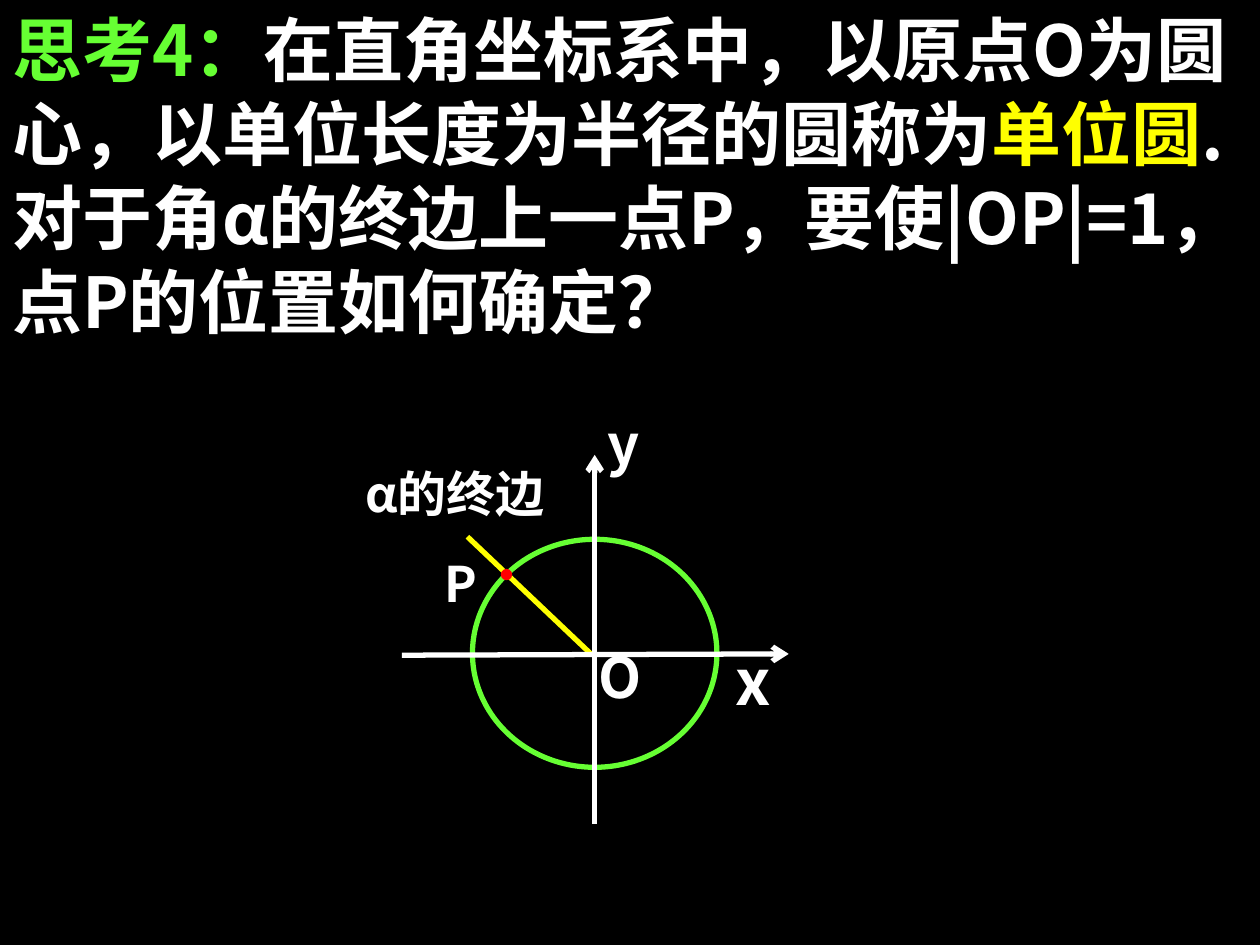
from lxml import etree
from pptx import Presentation
from pptx.dml.color import RGBColor
from pptx.enum.shapes import MSO_CONNECTOR, MSO_SHAPE
from pptx.enum.text import PP_ALIGN
from pptx.oxml.ns import qn
from pptx.util import Inches, Pt

STRAIGHT = MSO_CONNECTOR.STRAIGHT
OVAL = MSO_SHAPE.OVAL
LEFT, JUSTIFY = PP_ALIGN.LEFT, PP_ALIGN.JUSTIFY

THEME = {
    "background": "000000", "text": "FFFFFF", "green": "66FF33",
    "yellow": "FFFF00", "red": "FF0000",
    "sans": "Noto Sans CJK SC", "serif": "Times New Roman",
    "question": 40, "axis x": 36, "axis": 32, "label": 28,
    "stroke": 3, "outline": 0.75,
}

QUESTION = [
    ("思考4：", "green", "sans"),
    ("在直角坐标系中，以原点O为圆心，以单位长度为半径的圆称为", "text", "sans"),
    ("单位圆", "yellow", "sans"),
    (".对于角α的终边上一点P，要使|OP|=1，点P的位置如何确定？", "text", "sans"),
]
TERMINAL_LABEL = [("α", "text", "sans"), ("的终边", "text", "serif")]
TERMINAL_SIDE = ((4.69, 5.19), (3.71, 4.26))
AXES = [((3.19, 5.2), (6.26, 5.19)), ((4.72, 6.54), (4.72, 3.61))]
UNIT_CIRCLE = (3.75, 4.28, 1.94, 1.81)
POINT_P = (3.98, 4.52, 0.08, 0.08)
LETTERS = [
    ("O", (4.65, 5.05, 0.58, 0.57), "axis"),
    ("x", (5.74, 5.05, 0.52, 0.57), "axis x"),
    ("y", (4.72, 3.2, 0.77, 0.9), "axis"),
    ("P", (3.43, 4.34, 0.63, 0.68), "label"),
]


def color(name):
    return RGBColor.from_string(THEME[name])


def add_text(slide, box, runs, size, alignment=JUSTIFY):
    frame = slide.shapes.add_textbox(*map(Inches, box)).text_frame
    frame.word_wrap = True
    paragraph = frame.paragraphs[0]
    paragraph.alignment = alignment
    for text, tint, face in runs:
        run = paragraph.add_run()
        run.text = text
        font_format = {"name": THEME[face], "size": Pt(THEME[size]), "bold": True}
        for attribute, value in font_format.items():
            setattr(run.font, attribute, value)
        run.font.color.rgb = color(tint)
        east_asian = etree.Element(qn("a:ea"), typeface=THEME["sans"])
        run.font._element.find(qn("a:latin")).addnext(east_asian)


def add_line(slide, ends, tint, arrow=False):
    start, end = ends
    connector = slide.shapes.add_connector(STRAIGHT, *map(Inches, start + end))
    connector.line.color.rgb = color(tint)
    connector.line.width = Pt(THEME["stroke"])
    if arrow:
        etree.SubElement(connector.line._get_or_add_ln(), qn("a:tailEnd"), type="arrow")
    etree.SubElement(connector._element.spPr, qn("a:effectLst"))


def add_oval(slide, box, tint, width, filled=False):
    shape = slide.shapes.add_shape(OVAL, *map(Inches, box))
    shape.shadow.inherit = False
    if filled:
        shape.fill.solid()
        shape.fill.fore_color.rgb = color(tint)
    else:
        shape.fill.background()
    shape.line.color.rgb = color(tint)
    shape.line.width = Pt(THEME[width])


def main():
    presentation = Presentation()
    presentation.slide_width, presentation.slide_height = Inches(10), Inches(7.5)
    slide = presentation.slides.add_slide(presentation.slide_layouts[6])
    slide.background.fill.solid()
    slide.background.fill.fore_color.rgb = color("background")

    add_text(slide, (0, 0, 10, 2.77), QUESTION, "question", LEFT)
    add_text(slide, (2.8, 3.63, 2.39, 0.64), TERMINAL_LABEL, "label")
    add_line(slide, TERMINAL_SIDE, "yellow")
    add_oval(slide, UNIT_CIRCLE, "green", "stroke")
    for axis in AXES:
        add_line(slide, axis, "text", arrow=True)
    for letter, box, size in LETTERS:
        add_text(slide, box, [(letter, "text", "sans")], size)
    add_oval(slide, POINT_P, "red", "outline", filled=True)

    presentation.save("out.pptx")


if __name__ == "__main__":
    main()
